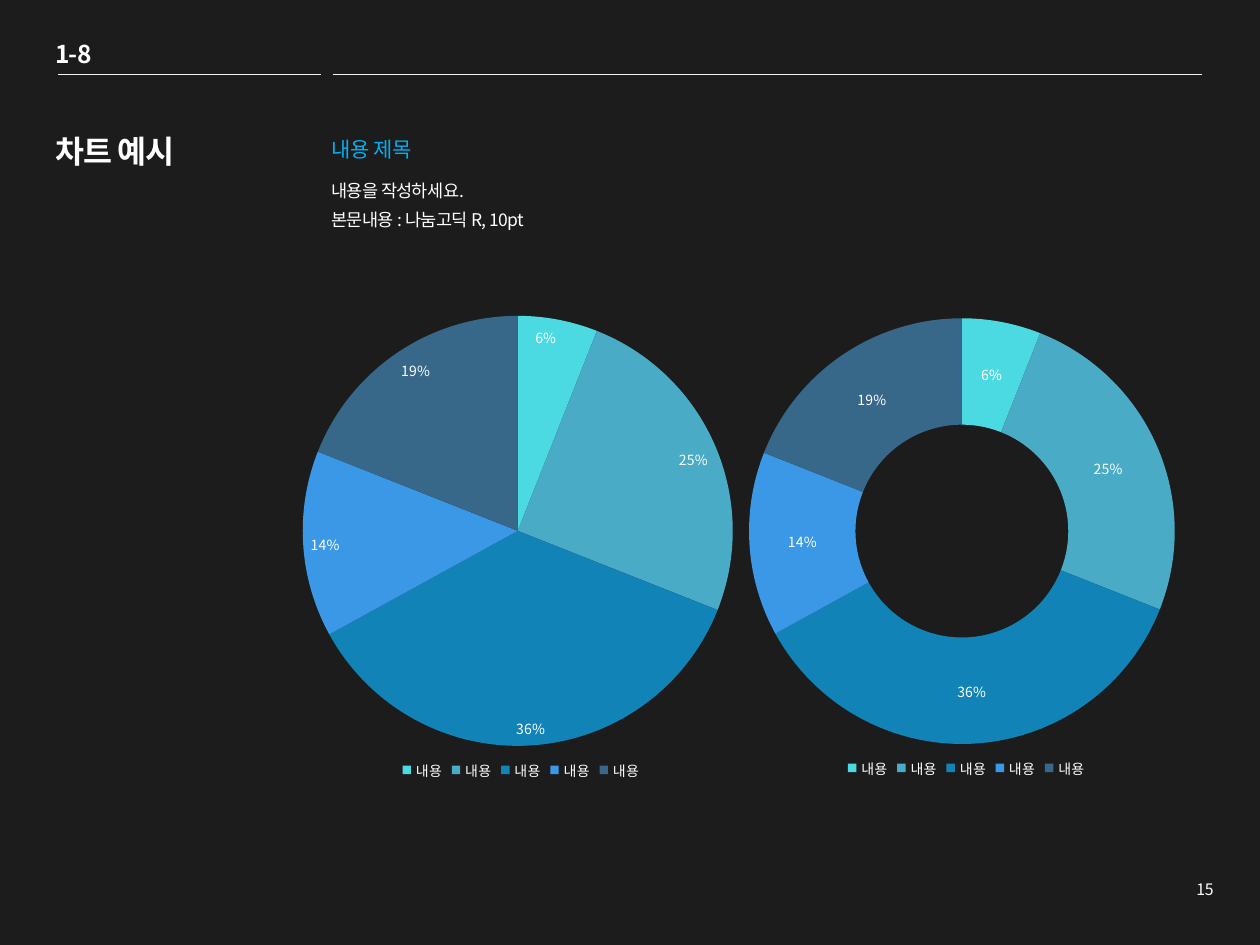
"""Build the chart example slide with a pie and a doughnut chart."""
from dataclasses import dataclass

from lxml.etree import SubElement
from pptx import Presentation
from pptx.chart.data import CategoryChartData
from pptx.dml.color import RGBColor
from pptx.enum.chart import XL_CHART_TYPE, XL_LABEL_POSITION, XL_LEGEND_POSITION
from pptx.enum.shapes import MSO_CONNECTOR
from pptx.enum.text import PP_ALIGN
from pptx.oxml import parse_xml
from pptx.oxml.ns import nsdecls, qn
from pptx.util import Pt


@dataclass(frozen=True)
class Theme:
    font: str = "Noto Sans CJK KR"
    background: str = "1C1C1C"
    text: str = "FFFFFF"
    accent: str = "00B0F0"
    rule: str = "F2F2F2"
    rule_width: float = 0.25
    title: int = 18
    section: int = 14
    heading: int = 12
    body: int = 10
    page: int = 9
    chart: int = 8


THEME = Theme()
CATEGORIES = ["내용"] * 5
VALUES = [6, 25, 36, 14, 19]
SLICE_COLORS = ["4BDAE1", "4AABC6", "1283B6", "3A98E6", "376889"]
PLOT_AREA = {"x": 0.16, "y": 0.03, "w": 0.68, "h": 0.86}
LEGEND_CORNER = {"x": 0.31, "y": 0.9}
CHARTS = [
    (XL_CHART_TYPE.PIE, (115.2, 169.9, 361.4, 290.2)),
    (XL_CHART_TYPE.DOUGHNUT, (370.8, 171.4, 357.8, 287.3)),
]
RULE_TOP = 42.5
RULES = [(33.1, 183.6), (190.1, 686.9)]
TEXTS = [
    dict(box=(24.5, 18.7, 35.3, 24.5), lines=["1-8"], size=THEME.section,
         bold=True, spacing=-50, wrap=False),
    dict(box=(182.2, 74.2, 383, 21.6), lines=["내용 제목"], size=THEME.heading,
         color=THEME.accent, spacing=-20),
    dict(box=(182.2, 94.3, 440, 41), lines=["내용을 작성하세요.", "본문내용 : 나눔고딕 R, 10pt"],
         size=THEME.body, spacing=-30, line_spacing=1.4),
    dict(box=(660.6, 499, 40, 18), lines=["15"], size=THEME.page,
         align=PP_ALIGN.RIGHT),
    dict(box=(24.5, 72, 141.8, 115.9), lines=["차트 예시"], size=THEME.title,
         bold=True, spacing=-50),
]


def points(values):
    return [Pt(value) for value in values]


def style_font(font, size, color=THEME.text, bold=False):
    font.name = THEME.font
    font.size = Pt(size)
    font.bold = bold
    font.color.rgb = RGBColor.from_string(color)


def add_text(slide, box, lines, size, color=THEME.text, bold=False, spacing=0,
             line_spacing=None, align=PP_ALIGN.LEFT, wrap=True):
    text_frame = slide.shapes.add_textbox(*points(box)).text_frame
    text_frame.word_wrap = wrap
    text_frame.text = "\n".join(lines)
    for paragraph in text_frame.paragraphs:
        paragraph.alignment = align
        paragraph.line_spacing = line_spacing
        for run in paragraph.runs:
            style_font(run.font, size, color, bold)
            properties = run.font._element
            properties.set("spc", str(spacing))
            SubElement(properties, qn("a:ea")).set("typeface", THEME.font)


def add_rule(slide, start, end):
    rule = slide.shapes.add_connector(
        MSO_CONNECTOR.STRAIGHT, *points((start, RULE_TOP, end, RULE_TOP)))
    rule.line.color.rgb = RGBColor.from_string(THEME.rule)
    rule.line.width = Pt(THEME.rule_width)
    SubElement(rule._element.spPr, qn("a:effectLst"))


def set_layout(element, fractions, inner=False):
    for layout in element.findall(qn("c:layout")):
        element.remove(layout)
    target = '<c:layoutTarget val="inner"/>' if inner else ""
    modes = "".join(f'<c:{key}Mode val="edge"/>' for key in "xy")
    sizes = "".join(f'<c:{key} val="{value}"/>' for key, value in fractions.items())
    layout = parse_xml(
        f'<c:layout {nsdecls("c")}><c:manualLayout>{target}{modes}{sizes}'
        "</c:manualLayout></c:layout>")
    element.insert(0 if inner else 1, layout)


def add_share_chart(slide, kind, box):
    data = CategoryChartData()
    data.categories = CATEGORIES
    data.add_series("Series 1", VALUES)
    chart = slide.shapes.add_chart(kind, *points(box), data).chart
    chart.has_title = False
    style_font(chart.font, THEME.chart)
    chart.has_legend = True
    chart.legend.position = XL_LEGEND_POSITION.BOTTOM
    chart.legend.include_in_layout = False
    style_font(chart.legend.font, THEME.chart)
    plot = chart.plots[0]
    plot.vary_by_categories = True
    for index, color in enumerate(SLICE_COLORS):
        slice_format = plot.series[0].points[index].format
        slice_format.fill.solid()
        slice_format.fill.fore_color.rgb = RGBColor.from_string(color)
        slice_format.line.fill.background()
    plot.has_data_labels = True
    labels = plot.data_labels
    labels.show_percentage = True
    labels.show_value = False
    labels.number_format = "0%"
    labels.number_format_is_linked = False
    style_font(labels.font, THEME.chart)
    if kind == XL_CHART_TYPE.PIE:
        labels.position = XL_LABEL_POSITION.INSIDE_END
    set_layout(plot._element.getparent(), PLOT_AREA, inner=True)
    set_layout(chart.legend._element, LEGEND_CORNER)


presentation = Presentation()
presentation.slide_width, presentation.slide_height = Pt(720), Pt(540)
slide = presentation.slides.add_slide(presentation.slide_layouts[6])
slide.background.fill.solid()
slide.background.fill.fore_color.rgb = RGBColor.from_string(THEME.background)
for kind, box in CHARTS:
    add_share_chart(slide, kind, box)
for start, end in RULES:
    add_rule(slide, start, end)
for text in TEXTS:
    add_text(slide, **text)
presentation.save("out.pptx")
